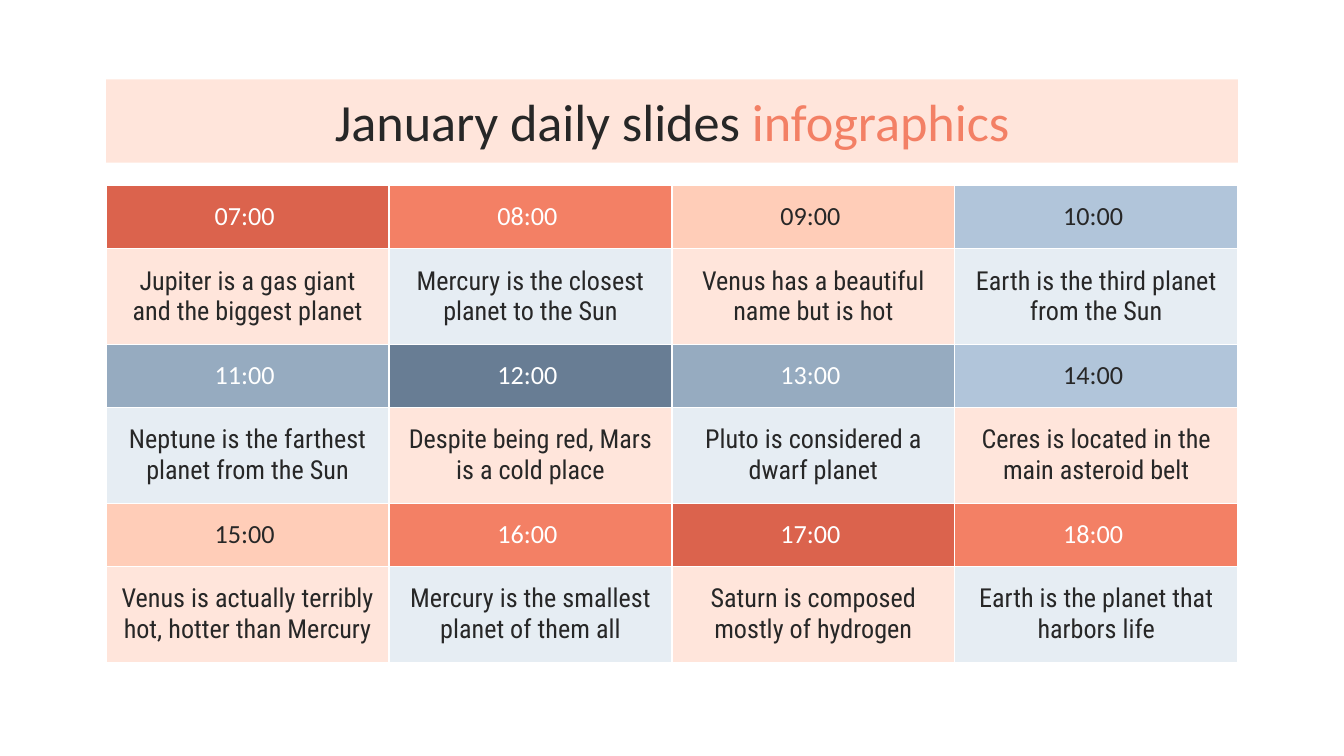
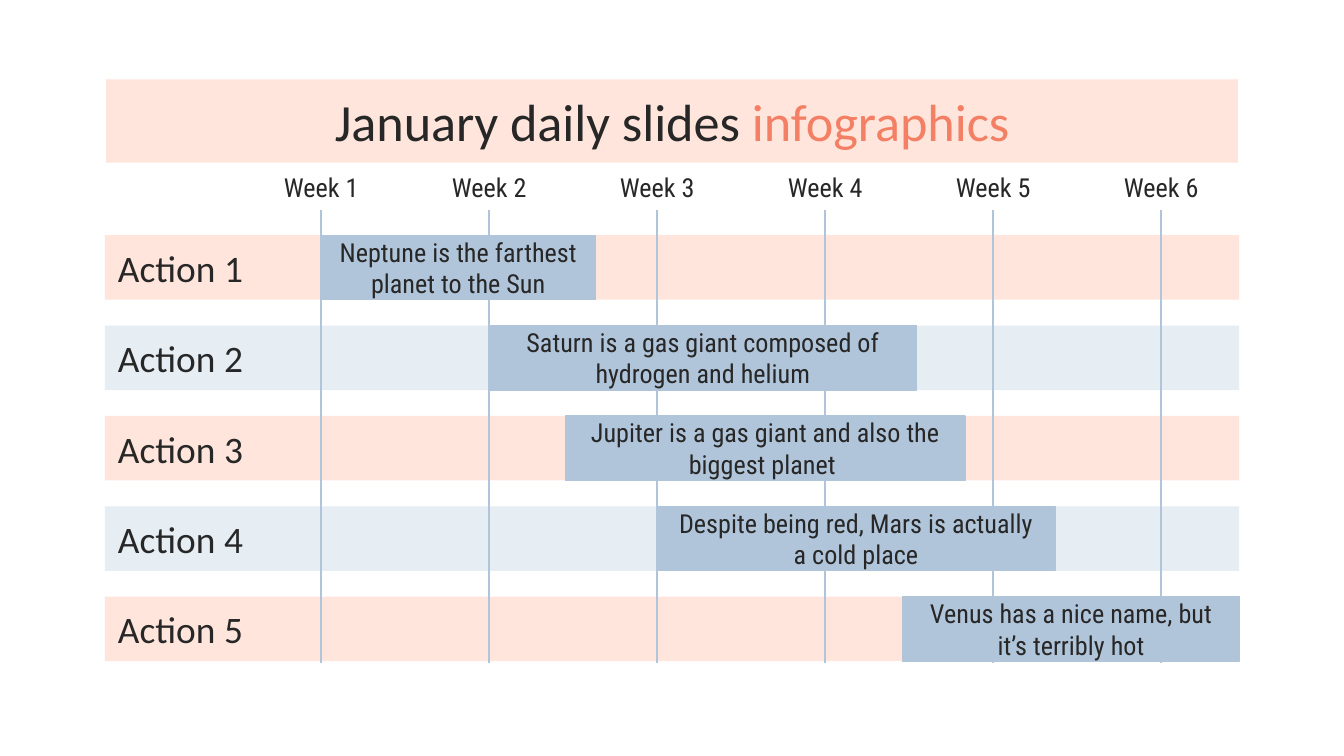
from dataclasses import dataclass

from lxml import etree
from pptx import Presentation
from pptx import util as u
from pptx.dml import color as c
from pptx.enum import shapes, text
from pptx.oxml import ns

COLORS = {
    "ink": "272727", "white": "FFFFFF", "brick": "DB634D", "coral": "F38065",
    "peach": "FFCDB8", "blush": "FFE5DB", "mist": "E6EDF3", "sky": "B1C5DA",
    "steel": "96ABC0", "slate": "687D94",
}
HEADING, BODY = "Calibri", "Roboto Condensed"
DARK_FILLS = {"brick", "coral", "steel", "slate"}
STRIPES = ("blush", "mist")
INSET = u.Inches(0.1)
HAIRLINE = u.Pt(0.75)
SLIDE_WIDTH = 10


@dataclass
class Span:
    words: str
    size: int = 14
    font: str = BODY
    color: str = "ink"


@dataclass
class Block:
    left: float
    top: float
    width: float
    height: float
    fill: str | None = None
    line: str | None = None
    align: text.PP_ALIGN = text.PP_ALIGN.CENTER
    preset: shapes.MSO_SHAPE = shapes.MSO_SHAPE.ROUNDED_RECTANGLE


@dataclass
class Hour:
    time: str
    fill: str
    note: str


@dataclass
class Task:
    left: float
    width: float
    note: str


TITLE = Block(0.79, 0.59, 8.42, 0.62, "blush", preset=shapes.MSO_SHAPE.RECTANGLE)
TITLE_SPANS = [Span("January daily slides ", 28, HEADING),
               Span("infographics", 28, HEADING, "coral")]

HOURS = [
    [Hour("07:00 ", "brick", "Jupiter is a gas giant and the biggest planet"),
     Hour("08:00 ", "coral", "Mercury is the closest planet to the Sun"),
     Hour("09:00 ", "peach", "Venus has a beautiful name but is hot"),
     Hour("10:00 ", "sky", "Earth is the third planet from the Sun")],
    [Hour("11:00 ", "steel", "Neptune is the farthest planet from the Sun"),
     Hour("12:00 ", "slate", "Despite being red, Mars is a cold place"),
     Hour("13:00 ", "steel", "Pluto is considered a dwarf planet"),
     Hour("14:00 ", "sky", "Ceres is located in the main asteroid belt")],
    [Hour("15:00 ", "peach", "Venus is actually terribly hot, hotter than Mercury"),
     Hour("16:00 ", "coral", "Mercury is the smallest planet of them all"),
     Hour("17:00 ", "brick", "Saturn is composed mostly of hydrogen"),
     Hour("18:00 ", "coral", "Earth is the planet that harbors life")],
]
TABLE_TOP, TABLE_HEIGHT = 1.38, 3.55
COLUMN_WIDTH, TIME_HEIGHT = TITLE.width / len(HOURS[0]), 0.47
NOTE_HEIGHT = TABLE_HEIGHT / len(HOURS) - TIME_HEIGHT

WEEKS, FIRST_WEEK, WEEK_STEP = 6, 2.39, 1.25
LABEL_WIDTH, LABEL_TOP, LABEL_HEIGHT = 1.15, 1.23, 0.33
LINE_TOP, LINE_BOTTOM = LABEL_TOP + LABEL_HEIGHT, 4.93
FIRST_ROW, LAST_ROW, ROW_HEIGHT = 1.75, 4.44, 0.48
TASKS = [
    Task(2.39, 2.04, "Neptune is the farthest planet to the Sun"),
    Task(3.64, 3.18, "Saturn is a gas giant composed of hydrogen and helium"),
    Task(4.21, 2.97, "Jupiter is a gas giant and also the biggest planet "),
    Task(4.89, 2.96, "Despite being red, Mars is actually a cold place"),
    Task(6.72, 2.5, "Venus has a nice name, but it’s terribly hot"),
]
ROW_STEP = (LAST_ROW - FIRST_ROW) / (len(TASKS) - 1)


def rgb(name: str) -> c.RGBColor:
    return c.RGBColor.from_string(COLORS[name])


def set_all(target, values: dict) -> None:
    for name, value in values.items():
        setattr(target, name, value)


def paint(fill, name: str | None) -> None:
    if name is None:
        fill.background()
    else:
        fill.solid()
        fill.fore_color.rgb = rgb(name)


def write(para, spans: list[Span], align) -> None:
    para.alignment = align
    for item in spans:
        span = para.add_run()
        span.text = item.words
        set_all(span.font, {"size": u.Pt(item.size), "name": item.font, "bold": False})
        span.font.color.rgb = rgb(item.color)


def add_block(page, block: Block, spans: list[Span]) -> None:
    box = page.shapes.add_shape(
        block.preset, u.Inches(block.left), u.Inches(block.top),
        u.Inches(block.width), u.Inches(block.height))
    if block.preset == shapes.MSO_SHAPE.ROUNDED_RECTANGLE:
        box.adjustments[0] = 0
    box.shadow.inherit = False
    paint(box.fill, block.fill)
    paint(box.line.fill, block.line)
    if block.line:
        box.line.width = HAIRLINE
    frame = box.text_frame
    set_all(frame, {
        "word_wrap": True, "vertical_anchor": text.MSO_ANCHOR.MIDDLE,
        "margin_left": INSET, "margin_right": INSET,
        "margin_top": INSET, "margin_bottom": INSET})
    write(frame.paragraphs[0], spans, block.align)


def add_week_line(page, x: float) -> None:
    line = page.shapes.add_connector(
        shapes.MSO_CONNECTOR.STRAIGHT, u.Inches(x), u.Inches(LINE_TOP),
        u.Inches(x), u.Inches(LINE_BOTTOM))
    line.line.width = HAIRLINE
    line.line.color.rgb = rgb("sky")
    etree.SubElement(line._element.spPr, ns.qn("a:effectLst"))


def fill_cell(cell, fill: str, span: Span) -> None:
    set_all(cell, {
        "vertical_anchor": text.MSO_ANCHOR.MIDDLE,
        "margin_left": INSET, "margin_right": INSET,
        "margin_top": INSET, "margin_bottom": INSET})
    write(cell.text_frame.paragraphs[0], [span], text.PP_ALIGN.CENTER)
    paint(cell.fill, fill)
    # Borders come before the fill in the cell properties
    properties = cell._tc.get_or_add_tcPr()
    for index, side in enumerate(("lnL", "lnR", "lnT", "lnB")):
        border = etree.Element(ns.qn(f"a:{side}"), w=str(int(HAIRLINE)))
        solid = etree.SubElement(border, ns.qn("a:solidFill"))
        etree.SubElement(solid, ns.qn("a:srgbClr"), val=COLORS["white"])
        properties.insert(index, border)


def add_page(deck):
    page = deck.slides.add_slide(deck.slide_layouts[6])
    paint(page.background.fill, "white")
    add_block(page, TITLE, TITLE_SPANS)
    return page


def build_schedule(deck) -> None:
    page = add_page(deck)
    rows, columns = 2 * len(HOURS), len(HOURS[0])
    table = page.shapes.add_table(
        rows, columns, u.Inches(TITLE.left), u.Inches(TABLE_TOP),
        u.Inches(TITLE.width), u.Inches(TABLE_HEIGHT)).table
    set_all(table, {"first_row": False, "horz_banding": False})
    for column in table.columns:
        column.width = u.Inches(COLUMN_WIDTH)
    for index, row in enumerate(table.rows):
        row.height = u.Inches(NOTE_HEIGHT if index % 2 else TIME_HEIGHT)
    # Each band is a row of times over a row of notes
    for band, hours in enumerate(HOURS):
        for column, hour in enumerate(hours):
            ink = "white" if hour.fill in DARK_FILLS else "ink"
            fill_cell(table.cell(2 * band, column), hour.fill,
                      Span(hour.time, font=HEADING, color=ink))
            fill_cell(table.cell(2 * band + 1, column),
                      STRIPES[(band + column) % 2], Span(hour.note))


def build_timeline(deck) -> None:
    page = add_page(deck)
    tops = [FIRST_ROW + ROW_STEP * index for index in range(len(TASKS))]
    # Action bands
    for index, top in enumerate(tops):
        add_block(page, Block(0.78, top, 8.44, ROW_HEIGHT, STRIPES[index % 2],
                              align=text.PP_ALIGN.LEFT),
                  [Span(f"Action {index + 1}", 20, HEADING)])
    # Week labels and lines
    weeks = [FIRST_WEEK + WEEK_STEP * index for index in range(WEEKS)]
    for number, x in enumerate(weeks, 1):
        add_block(page, Block(x - LABEL_WIDTH / 2, LABEL_TOP, LABEL_WIDTH, LABEL_HEIGHT),
                  [Span(f"Week {number}")])
    for x in weeks:
        add_week_line(page, x)
    # Task bars
    for task, top in zip(TASKS, tops):
        add_block(page, Block(task.left, top, task.width, ROW_HEIGHT, "sky", "sky"),
                  [Span(task.note)])


def main() -> None:
    deck = Presentation()
    set_all(deck, {"slide_width": u.Inches(SLIDE_WIDTH),
                   "slide_height": u.Inches(SLIDE_WIDTH * 9 / 16)})
    build_schedule(deck)
    build_timeline(deck)
    deck.save("out.pptx")


if __name__ == "__main__":
    main()
